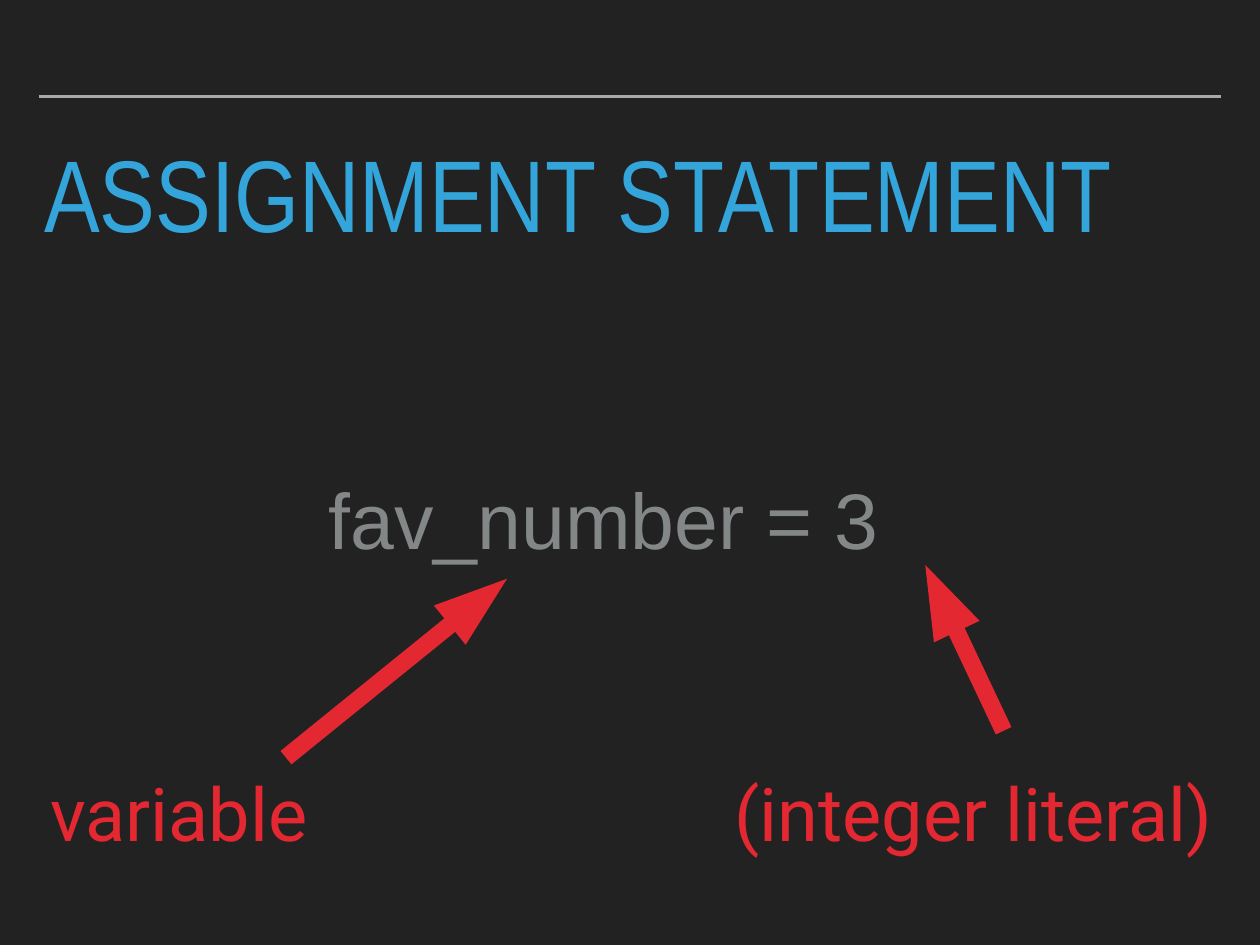
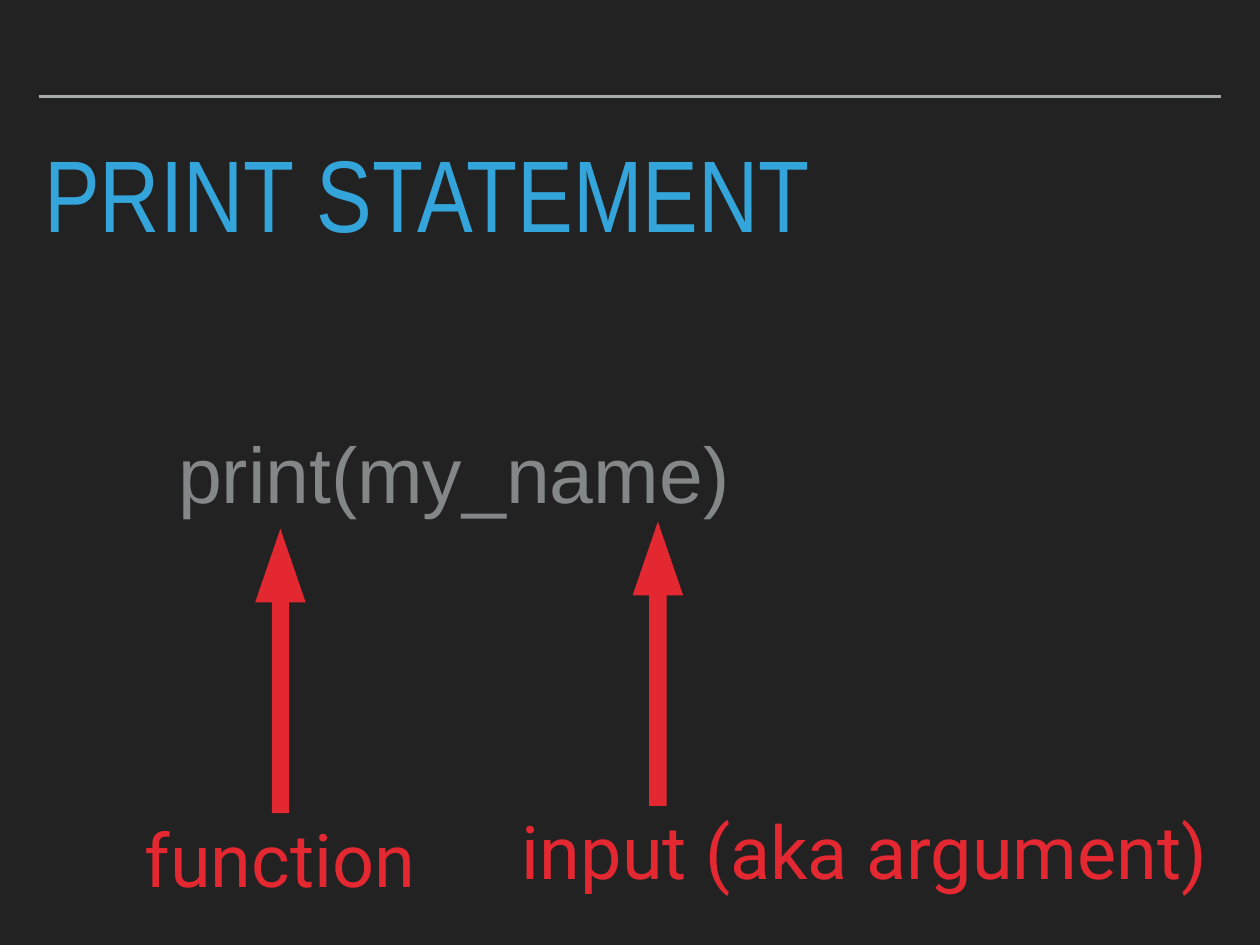
"""Build two slides that label the parts of simple Python statements."""
from pptx import Presentation
from pptx import util as u
from pptx.dml.color import RGBColor
from pptx.enum import shapes, text
from pptx.oxml.ns import qn
from lxml import etree

BACKGROUND = RGBColor(0x22, 0x22, 0x22)
RULE_GREY = RGBColor(0xA6, 0xAA, 0xA9)
TITLE_BLUE = RGBColor(0x34, 0xA5, 0xDA)
CODE_GREY = RGBColor(0x83, 0x87, 0x87)
LABEL_RED = RGBColor(0xE4, 0x28, 0x32)

TITLE_FONT, CODE_FONT, LABEL_FONT = "Arial Narrow", "Arial", "Roboto"
MARGIN = 0.44
INSET = 0.06
ARROW_HEIGHT = 0.57
ARROW_LENGTH = 3.21
CODE_SIZE = (6.92, 1.18)
LABEL_HEIGHT = 1.25


def set_frame(frame, anchor, wrap):
    """Give a text frame the shared insets, anchor and wrapping."""
    frame.margin_left = frame.margin_right = u.Inches(INSET)
    frame.margin_top = frame.margin_bottom = u.Inches(INSET)
    frame.vertical_anchor = anchor
    frame.word_wrap = wrap


def set_text(frame, words, font, size, color, space_before):
    """Write one left-aligned paragraph and format it."""
    frame.text = words
    paragraph = frame.paragraphs[0]
    paragraph.alignment = text.PP_ALIGN.LEFT
    paragraph.space_before = u.Pt(space_before)
    for run in paragraph.runs:
        run.font.name = font
        run.font.size = u.Pt(size)
        run.font.color.rgb = color
    return paragraph


def style_layout(layout):
    """Set the shared background and the place of the title."""
    fill = layout.background.fill
    fill.solid()
    fill.fore_color.rgb = BACKGROUND
    title = next(shape for shape in layout.placeholders
                 if shape.placeholder_format.idx == 0)
    title.left, title.top = u.Inches(MARGIN), u.Inches(1.68)
    title.width, title.height = u.Inches(13.33), u.Inches(1.28)
    set_frame(title.text_frame, text.MSO_ANCHOR.TOP, True)
    title.text_frame.auto_size = text.MSO_AUTO_SIZE.NONE


def add_layout_rule(slide):
    """Draw the top rule and move it to the layout of the slide."""
    rule = slide.shapes.add_connector(
        shapes.MSO_CONNECTOR.STRAIGHT, u.Inches(MARGIN), u.Inches(1.09),
        u.Inches(13.78), u.Inches(1.09))
    rule.line.color.rgb = RULE_GREY
    rule.line.width = u.Pt(2)
    etree.SubElement(rule._element.spPr, qn("a:effectLst"))
    slide.slide_layout.shapes._spTree.append(rule._element)


def add_titled_slide(presentation, layout, words):
    """Add a slide with its title filled in."""
    slide = presentation.slides.add_slide(layout)
    paragraph = set_text(slide.shapes.title.text_frame, words,
                         TITLE_FONT, 82.8, TITLE_BLUE, 19)
    paragraph.line_spacing = 0.8
    return slide


def add_text(slide, words, left, top, width, height, font, size, color):
    """Add a one-line text box that grows with its text."""
    box = slide.shapes.add_textbox(*map(u.Inches, (left, top, width, height)))
    set_frame(box.text_frame, text.MSO_ANCHOR.MIDDLE, False)
    box.text_frame.auto_size = text.MSO_AUTO_SIZE.SHAPE_TO_FIT_TEXT
    set_text(box.text_frame, words, font, size, color, 24)


def add_code(slide, words, left, top):
    """Add the statement that the slide explains."""
    add_text(slide, words, left, top, *CODE_SIZE, CODE_FONT, 64, CODE_GREY)


def add_label(slide, words, left, top, width):
    """Add the red name of one part of the statement."""
    add_text(slide, words, left, top, width, LABEL_HEIGHT,
             LABEL_FONT, 60, LABEL_RED)


def add_arrow(slide, left, top, rotation, length=ARROW_LENGTH):
    """Add a red arrow turned towards the statement."""
    arrow = slide.shapes.add_shape(
        shapes.MSO_SHAPE.RIGHT_ARROW,
        *map(u.Inches, (left, top, length, ARROW_HEIGHT)))
    arrow.adjustments[0] = 0.342
    arrow.adjustments[1] = 1.459
    arrow.rotation = rotation
    arrow.fill.solid()
    arrow.fill.fore_color.rgb = LABEL_RED
    arrow.line.fill.background()
    arrow.shadow.inherit = False


def build_assignment(presentation, layout):
    """Build the slide on assignment."""
    slide = add_titled_slide(presentation, layout, "ASSIGNMENT STATEMENT")
    add_arrow(slide, 2.87, 7.26, 321)
    add_label(slide, "variable", 0.51, 8.54, 3.19)
    add_code(slide, "fav_number = 3", 3.65, 5.26)
    add_arrow(slide, 9.85, 7.03, 244.7, length=2.07)
    add_label(slide, "(integer literal)", 8.23, 8.54, 5.76)
    return slide


def build_print(presentation, layout):
    """Build the slide on printing."""
    slide = add_titled_slide(presentation, layout, "PRINT STATEMENT")
    add_code(slide, "print(my_name)", 1.95, 4.74)
    add_arrow(slide, 1.56, 7.29, 270)
    add_label(slide, "function", 1.57, 9.06, 3.25)
    add_arrow(slide, 5.82, 7.21, 270)
    add_label(slide, "input (aka argument)", 5.83, 8.97, 8.12)


def main():
    """Build and save the presentation."""
    presentation = Presentation()
    presentation.slide_width = u.Inches(14.22)
    presentation.slide_height = u.Inches(10.67)
    layout = presentation.slide_layouts.get_by_name("Title Only")
    style_layout(layout)
    add_layout_rule(build_assignment(presentation, layout))
    build_print(presentation, layout)
    presentation.save("out.pptx")


if __name__ == "__main__":
    main()
